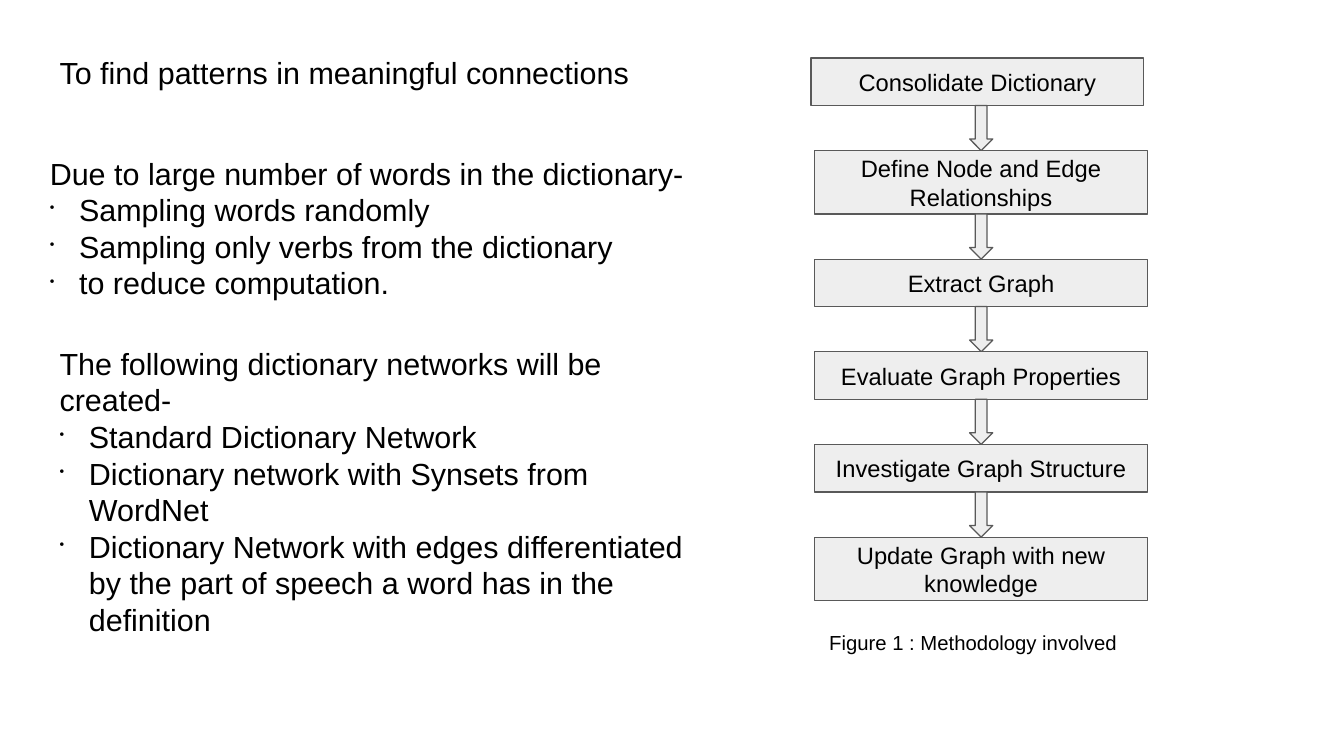
from dataclasses import dataclass

from lxml import etree
from pptx import Presentation
from pptx import util as u
from pptx.dml.color import RGBColor
from pptx.enum import shapes, text
from pptx.oxml.ns import qn


@dataclass(frozen=True)
class Theme:
    font: str = "Arial"
    ink: str = "000000"
    fill: str = "EEEEEE"
    edge: str = "595959"
    body: int = 18
    step: int = 14
    note: int = 12


THEME = Theme()
CELL = u.Inches(0.1)  # side of one grid cell
COLS, ROWS = 110.2, 62


def grid(*cells):
    return [round(n * CELL) for n in cells]


def style(frame, size, pad, align=None):
    """Set the margins of a frame and the look of its text."""
    frame.word_wrap = True
    frame.margin_left = frame.margin_right = round(CELL)
    frame.margin_top = frame.margin_bottom = round(pad * CELL)
    for para in frame.paragraphs:
        para.alignment = align
        for run in para.runs:
            run.font.name = THEME.font
            run.font.size = u.Pt(size)
            run.font.color.rgb = RGBColor.from_string(THEME.ink)


def bullet(para):
    """Give a paragraph a small hanging bullet."""
    props = para._p.get_or_add_pPr()
    indent = round(2.4 * CELL)
    props.set("marL", str(indent))
    props.set("indent", str(-indent))
    color = etree.SubElement(props, qn("a:buClr"))
    etree.SubElement(color, qn("a:srgbClr"), val=THEME.ink)
    etree.SubElement(props, qn("a:buSzPct"), val="45000")
    etree.SubElement(props, qn("a:buChar"), char="•")


def block(slide, box, lead, items=(), size=THEME.body, pad=0.5):
    """Place a lead line with optional bullets below it."""
    frame = slide.shapes.add_textbox(*grid(*box)).text_frame
    frame.text = lead
    for item in items:
        para = frame.add_paragraph()
        para.text = item
        bullet(para)
    style(frame, size, pad)


def solid(slide, kind, box):
    """Place a grey shape with a thin edge."""
    shape = slide.shapes.add_shape(kind, *grid(*box))
    shape.shadow.inherit = False
    shape.fill.solid()
    shape.fill.fore_color.rgb = RGBColor.from_string(THEME.fill)
    shape.line.color.rgb = RGBColor.from_string(THEME.edge)
    shape.line.width = u.Pt(0.75)
    return shape


def flow(slide, box, steps):
    """Stack the steps down the box, with an arrow in each gap."""
    left, top, width, height = box
    gap = (height - sum(tall for _, tall, _ in steps)) / (len(steps) - 1)
    thick = 1.9
    for i, (label, tall, shift) in enumerate(steps):
        if i:
            mid = left + (width - thick) / 2
            solid(slide, shapes.MSO_SHAPE.DOWN_ARROW,
                  (mid, top - gap, thick, gap))
        step = solid(slide, shapes.MSO_SHAPE.RECTANGLE,
                     (left + shift, top, width, tall))
        step.text_frame.text = label
        step.text_frame.vertical_anchor = text.MSO_ANCHOR.MIDDLE
        style(step.text_frame, THEME.step, 1, text.PP_ALIGN.CENTER)
        top += tall + gap


def main():
    deck = Presentation()
    deck.slide_width, deck.slide_height = grid(COLS, ROWS)
    slide = deck.slides.add_slide(deck.slide_layouts[6])

    # Goals and approach on the left
    block(slide, (3.9, 3.9, 52.8, 3.8),
          "To find patterns in meaningful connections")
    block(slide, (3.1, 12.2, 59.8, 12.2),
          "Due to large number of words in the dictionary-",
          ["Sampling words randomly",
           "Sampling only verbs from the dictionary",
           "to reduce computation."])
    block(slide, (3.9, 27.8, 53.5, 23.4),
          "The following dictionary networks will be created-",
          ["Standard Dictionary Network",
           "Dictionary network with Synsets from WordNet",
           "Dictionary Network with edges differentiated by the part of "
           "speech a word has in the definition"])

    # Method flow on the right: label, rows, sideways shift
    low, high = 3.9, 5.2
    flow(slide, (66.8, 4.75, 27.3, 44.5), [
        ("Consolidate Dictionary", low, -0.3),
        ("Define Node and Edge Relationships", high, 0),
        ("Extract Graph", low, 0),
        ("Evaluate Graph Properties", low, 0),
        ("Investigate Graph Structure", low, 0),
        ("Update Graph with new knowledge", high, 0),
    ])
    block(slide, (67, 50.7, 26.9, 4.3), "Figure 1 : Methodology involved",
          size=THEME.note, pad=1)

    deck.save("out.pptx")


if __name__ == "__main__":
    main()
